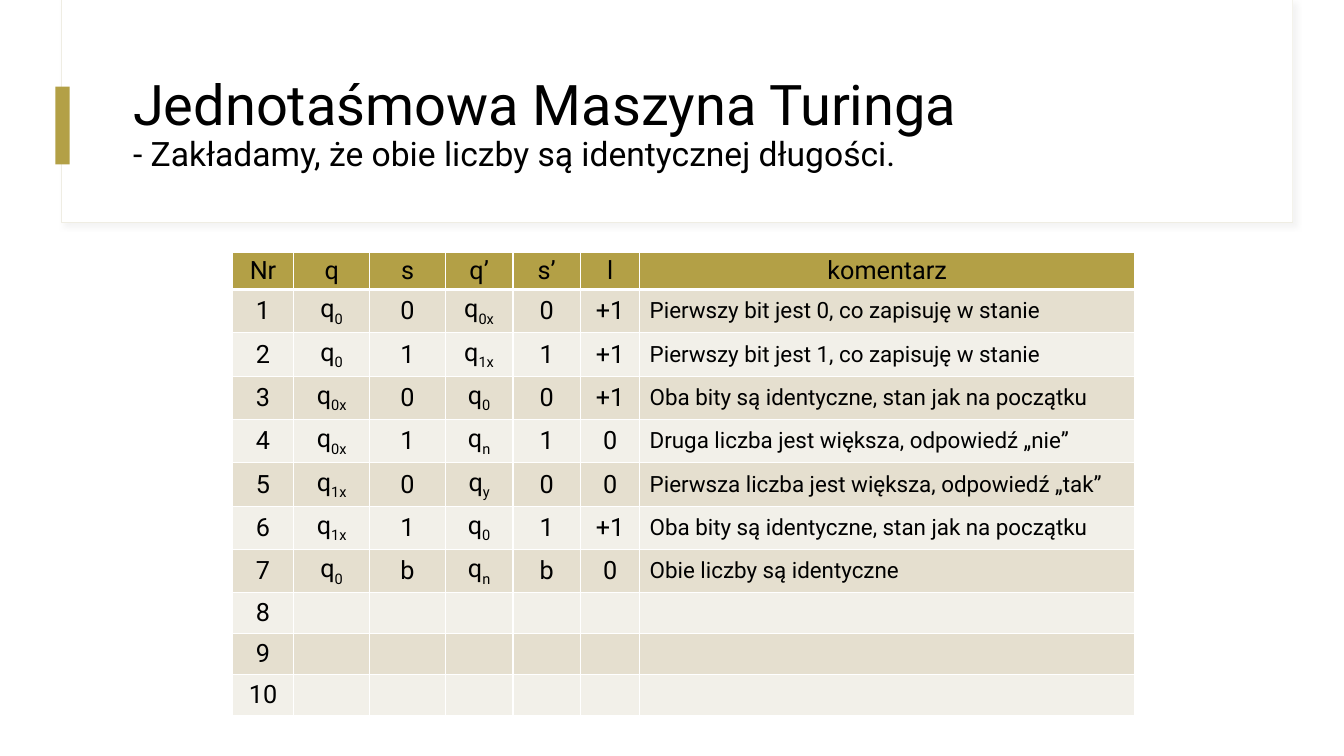
import dataclasses
import typing

import lxml.etree
import pptx
import pptx.dml.color
import pptx.enum.shapes
import pptx.enum.text
import pptx.oxml
import pptx.oxml.ns
import pptx.util

COLOURS = {
    "gold": "B3A046", "dark band": "E5DFCF", "light band": "F2F0E9",
    "frame": "EFEDE3", "shadow": "D9D9D9", "white": "FFFFFF", "black": "000000",
}
FONT = "Roboto"
SLIDE_WIDTH = pptx.util.Inches(13.33)
SLIDE_HEIGHT = pptx.util.Inches(7.5)
LEFT = pptx.enum.text.PP_ALIGN.LEFT
CENTER = pptx.enum.text.PP_ALIGN.CENTER
MIDDLE = pptx.enum.text.MSO_ANCHOR.MIDDLE


@dataclasses.dataclass
class Area:
    """A place on the slide, in percent of its width and height."""
    left: float
    top: float
    width: float
    height: float

    def lengths(self) -> tuple[int, int, int, int]:
        return across(self.left), down(self.top), across(self.width), down(self.height)


@dataclasses.dataclass
class Panel:
    area: Area
    fill: str
    line: str | None = None
    shadow: bool = False


class Transition(typing.NamedTuple):
    """One rule of the machine; an underscore starts a subscript."""
    state: str = ""
    symbol: str = ""
    next_state: str = ""
    next_symbol: str = ""
    move: str = ""
    comment: str = ""


PANELS = [
    Panel(Area(4.58, 0, 91.6, 29.47), "white", "frame", True),
    Panel(Area(4.65, 0, 91.52, 29.33), "white"),
    Panel(Area(4.13, 11.47, 1.05, 10.27), "gold"),
]
TITLE_AREA = Area(9.15, 8, 83.42, 17.2)
TABLE_AREA = Area(17.3, 33.4, 67.1, 58.95)
COLUMN_SHARES = [4.55, 5.66, 5.63, 5.03, 5.03, 4.4, 36.85]
HEADER_SHARE = 4.9
ROW_SHARE = 5.41
HEADINGS = ["Nr", "q", "s", "q’", "s’", "l", "komentarz"]
TRANSITIONS = [
    Transition("q_0", "0", "q_0x", "0", "+1", "Pierwszy bit jest 0, co zapisuję w stanie"),
    Transition("q_0", "1", "q_1x", "1", "+1", "Pierwszy bit jest 1, co zapisuję w stanie"),
    Transition("q_0x", "0", "q_0", "0", "+1", "Oba bity są identyczne, stan jak na początku"),
    Transition("q_0x", "1", "q_n", "1", "0", "Druga liczba jest większa, odpowiedź „nie”"),
    Transition("q_1x", "0", "q_y", "0", "0", "Pierwsza liczba jest większa, odpowiedź „tak”"),
    Transition("q_1x", "1", "q_0", "1", "+1", "Oba bity są identyczne, stan jak na początku"),
    Transition("q_0", "b", "q_n", "b", "0", "Obie liczby są identyczne"),
    Transition(), Transition(), Transition(),
]


def across(percent: float) -> int:
    return round(SLIDE_WIDTH * percent / 100)


def down(percent: float) -> int:
    return round(SLIDE_HEIGHT * percent / 100)


def colour(name: str) -> pptx.dml.color.RGBColor:
    return pptx.dml.color.RGBColor.from_string(COLOURS[name])


def set_font(font, size: float) -> None:
    font.name = FONT
    font.size = pptx.util.Pt(size)
    font.bold = False
    font.color.rgb = colour("black")


def draw_panel(page, panel: Panel) -> None:
    box = page.shapes.add_shape(
        pptx.enum.shapes.MSO_SHAPE.RECTANGLE, *panel.area.lengths())
    box.shadow.inherit = False
    box.fill.solid()
    box.fill.fore_color.rgb = colour(panel.fill)
    if panel.line:
        box.line.color.rgb = colour(panel.line)
        box.line.width = pptx.util.Pt(0.75)
    else:
        box.line.fill.background()
    if panel.shadow:
        effects = box._element.spPr.find(pptx.oxml.ns.qn("a:effectLst"))
        effects.append(pptx.oxml.parse_xml(
            f'<a:outerShdw {pptx.oxml.ns.nsdecls("a")} blurRad="50800" dist="38100"'
            f' dir="2700000"><a:srgbClr val="{COLOURS["shadow"]}">'
            '<a:alpha val="30000"/></a:srgbClr></a:outerShdw>'))


def draw_title(page) -> None:
    title = page.shapes.title
    title.left, title.top, title.width, title.height = TITLE_AREA.lengths()
    frame = title.text_frame
    frame.word_wrap = True
    frame.auto_size = pptx.enum.text.MSO_AUTO_SIZE.NONE
    frame.vertical_anchor = MIDDLE
    para = frame.paragraphs[0]
    para.alignment = LEFT
    para.line_spacing = 0.9
    set_font(para.font, 40)
    para.add_run().text = "Jednotaśmowa Maszyna Turinga"
    para.add_line_break()
    span = para.add_run()
    span.text = "- Zakładamy, że obie liczby są identycznej długości."
    span.font.size = pptx.util.Pt(24)
    # Bring the title in front of the panels
    page.shapes._spTree.append(title._element)


def set_borders(cell, top: float, bottom: float) -> None:
    properties = cell._tc.get_or_add_tcPr()
    widths = {"lnL": 1, "lnR": 1, "lnT": top, "lnB": bottom}
    for position, (side, width) in enumerate(widths.items()):
        line = lxml.etree.Element(pptx.oxml.ns.qn(f"a:{side}"), w=str(pptx.util.Pt(width)))
        fill = lxml.etree.SubElement(line, pptx.oxml.ns.qn("a:solidFill"))
        lxml.etree.SubElement(fill, pptx.oxml.ns.qn("a:srgbClr"), val=COLOURS["white"])
        properties.insert(position, line)


def fill_cell(cell, text: str, fill: str, size: float, alignment) -> None:
    cell.fill.solid()
    cell.fill.fore_color.rgb = colour(fill)
    cell.vertical_anchor = MIDDLE
    para = cell.text_frame.paragraphs[0]
    para.alignment = alignment
    set_font(para.font, size)
    base, _, subscript = text.partition("_")
    if base:
        para.add_run().text = base
    if subscript:
        span = para.add_run()
        span.text = subscript
        span._r.get_or_add_rPr().set("baseline", "-25000")


def draw_table(page) -> None:
    rows = [HEADINGS] + [[str(number), *rule] for number, rule in enumerate(TRANSITIONS, 1)]
    table = page.shapes.add_table(
        len(rows), len(HEADINGS), *TABLE_AREA.lengths()).table
    for column, share in zip(table.columns, COLUMN_SHARES):
        column.width = across(share)
    for index, texts in enumerate(rows):
        header = index == 0
        table.rows[index].height = down(HEADER_SHARE if header else ROW_SHARE)
        band = "gold" if header else "dark band" if index % 2 else "light band"
        for position, text in enumerate(texts):
            cell = table.cell(index, position)
            comment = not header and position == len(HEADINGS) - 1
            fill_cell(cell, text, band, 16 if comment else 18, LEFT if comment else CENTER)
            set_borders(cell, top=3 if index == 1 else 1, bottom=3 if header else 1)
            if header:
                cell.margin_top = cell.margin_bottom = pptx.util.Inches(0.03)


def main() -> None:
    deck = pptx.Presentation()
    deck.slide_width, deck.slide_height = SLIDE_WIDTH, SLIDE_HEIGHT
    page = deck.slides.add_slide(deck.slide_layouts.get_by_name("Title Only"))
    # Frame and accent bar
    for panel in PANELS:
        draw_panel(page, panel)
    # Heading and transition table
    draw_title(page)
    draw_table(page)
    deck.save("out.pptx")


if __name__ == "__main__":
    main()
